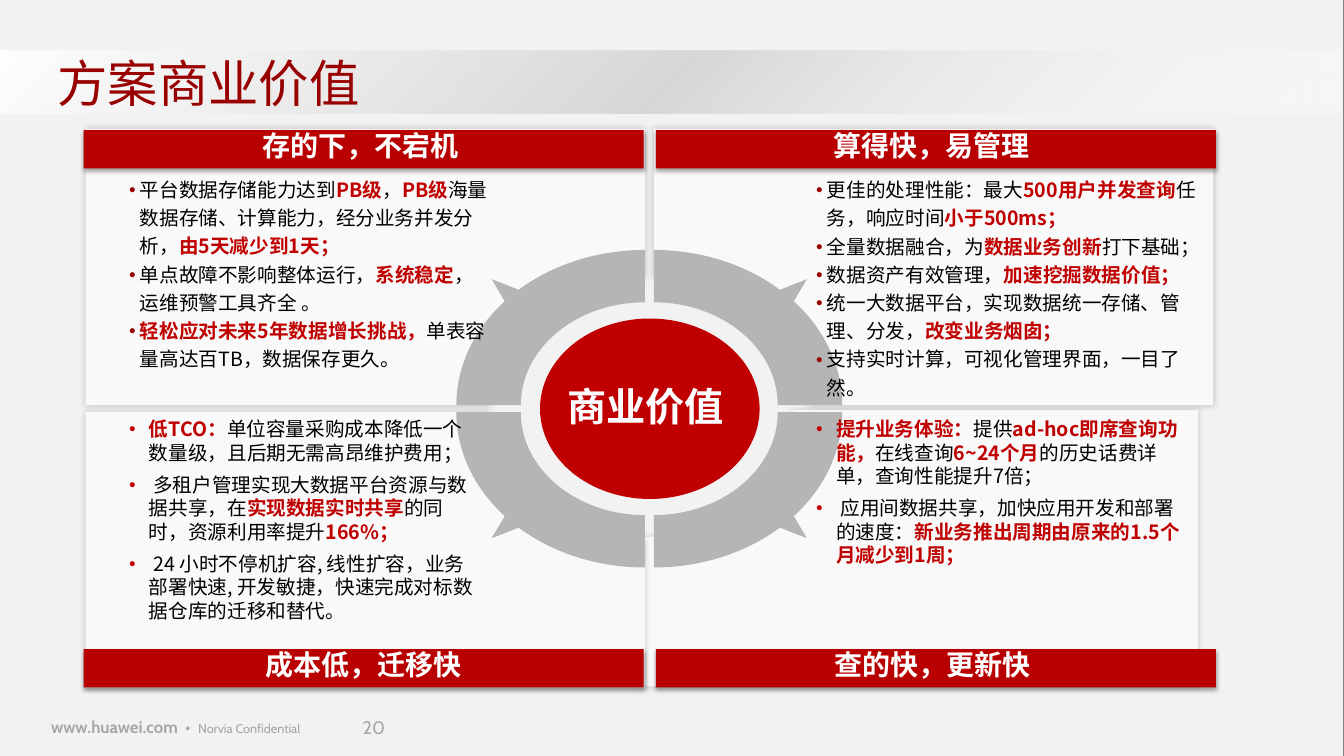
from dataclasses import dataclass
from math import cos, radians, sin, tan

from lxml.etree import SubElement
from pptx import Presentation
from pptx.dml.color import RGBColor
from pptx.enum.shapes import MSO_SHAPE
from pptx.enum.text import MSO_ANCHOR, MSO_AUTO_SIZE, PP_ALIGN
from pptx.oxml import parse_xml
from pptx.oxml.ns import nsdecls, qn
from pptx.util import Inches, Pt

Point = tuple[float, float]
Box = tuple[float, float, float, float]
Segment = tuple[Point, ...]


@dataclass(frozen=True)
class Theme:
    font: str = "Noto Sans CJK SC"
    footer_font: str = "Cabin"
    bullet_font: str = "Arial"
    backdrop: str = "808080"
    page: str = "F2F2F2"
    panel: str = "F9F9F9"
    ring: str = "B5B5B6"
    bar: str = "B90000"
    accent: str = "C00000"
    title: str = "990000"
    text: str = "000000"
    white: str = "FFFFFF"
    muted: str = "A6A6A6"
    title_size: float = 36
    hub_size: float = 28
    heading_size: float = 20
    body_size: float = 14
    number_size: float = 13
    site_size: float = 12
    notice_size: float = 9


@dataclass(frozen=True)
class BulletStyle:
    indent: float
    line: float
    after: float
    color: str | None


@dataclass(frozen=True)
class Quadrant:
    sx: int
    sy: int
    panel_origin: Point
    heading: str
    heading_box: Box
    body_box: Box
    style: BulletStyle
    bullets: tuple[str, ...]


T = Theme()
TOP = BulletStyle(0.11, 1.2, 0, T.title)
BOTTOM = BulletStyle(0.2, 1.0, 6, None)
LEFT_X, RIGHT_X, BAR_W, BAR_H = 0.83, 6.51, 5.56, 0.38
PANEL_W, PANEL_H = 5.55, 2.74

QUADRANTS = (
    Quadrant(1, 1, (6.34, 4.07), "查的快，更新快 ", (RIGHT_X, 6.37, BAR_W, 0.44), (8, 4.09, 3.9, 2.17), BOTTOM, (
        "*提升业务体验：*提供*ad-hoc即席查询功能，*在线查询*6~24个月*的历史话费详单，查询性能提升7倍；",
        "* *应用间数据共享，加快应用开发和部署的速度：*新业务推出周期由原来的1.5个月减少到1周；*")),
    Quadrant(1, -1, (6.49, 4.02), "算得快，易管理 ", (RIGHT_X, 1.23, 5.53, 0.44), (8, 1.67, 4.05, 2.61), TOP, (
        "更佳的处理性能：最大*500用户并发查询*任务，响应时间*小于500ms；*",
        "全量数据融合，为*数据业务创新*打下基础；",
        "数据资产有效管理，*加速挖掘数据价值；*",
        "统一大数据平台，实现数据统一存储、管理、分发，*改变业务烟囱；*",
        "支持实时计算，可视化管理界面，一目了然。")),
    Quadrant(-1, 1, (6.4, 4.09), "成本低，迁移快", (LEFT_X, 6.37, BAR_W, 0.44), (1.18, 4.09, 3.66, 2.76), BOTTOM, (
        "*低TCO：*单位容量采购成本降低一个数量级，且后期无需高昂维护费用；",
        "* *多租户管理实现大数据平台资源与数据共享，在*实现数据实时共享*的同时，资源利用率提升*166%；*",
        "* *24 小时不停机扩容, 线性扩容，业务部署快速, 开发敏捷，快速完成对标数据仓库的迁移和替代。")),
    Quadrant(-1, -1, (6.4, 4.02), "存的下，不宕机 ", (LEFT_X, 1.23, BAR_W, 0.44), (1.18, 1.67, 3.77, 2.3), TOP, (
        "平台数据存储能力达到*PB级*，*PB级*海量数据存储、计算能力，经分业务并发分析，*由5天减少到1天；*",
        "单点故障不影响整体运行，*系统稳定*，运维预警工具齐全 。",
        "*轻松应对未来5年数据增长挑战，*单表容量高达百TB，数据保存更久。")),
)


def paint(sp, color: str) -> None:
    sp.shadow.inherit = False
    sp.fill.solid()
    sp.fill.fore_color.rgb = RGBColor.from_string(color)
    sp.line.fill.background()


def add_shadow(sp, alpha: int, blur: float, dist: float, angle: int) -> None:
    sp._element.spPr.find(qn("a:effectLst")).append(parse_xml(
        f'<a:outerShdw {nsdecls("a")} blurRad="{Pt(blur)}" dist="{Pt(dist)}" dir="{angle * 60000}" '
        f'algn="ctr" rotWithShape="0"><a:srgbClr val="000000"><a:alpha val="{alpha * 1000}"/>'
        '</a:srgbClr></a:outerShdw>'))


def add_run(p, text: str, size: float, color: str, bold: bool = False, font: str = T.font) -> None:
    r = p.add_run()
    r.text = text
    r.font.size = Pt(size)
    r.font.bold = bold
    r.font.color.rgb = RGBColor.from_string(color)
    r.font.name = font
    SubElement(r.font._element, qn("a:ea")).set("typeface", font)


def add_text(s, box: Box, wrap: bool = True):
    tf = s.shapes.add_textbox(*map(Inches, box)).text_frame
    tf.word_wrap = wrap
    tf.auto_size = MSO_AUTO_SIZE.SHAPE_TO_FIT_TEXT
    return tf


def add_heading(s, box: Box, text: str, size: float) -> None:
    p = add_text(s, box).paragraphs[0]
    p.alignment = PP_ALIGN.CENTER
    add_run(p, text, size, T.white, True)


def add_bullets(s, q: Quadrant) -> None:
    tf = add_text(s, q.body_box)
    for i, bullet in enumerate(q.bullets):
        p = tf.add_paragraph() if i else tf.paragraphs[0]
        pPr = p._p.get_or_add_pPr()
        pPr.set("marL", str(Inches(q.style.indent)))
        pPr.set("indent", str(-Inches(q.style.indent)))
        pPr.set("hangingPunct", "0")
        p.line_spacing = q.style.line
        p.space_after = Pt(q.style.after)
        if q.style.color:
            SubElement(SubElement(pPr, qn("a:buClr")), qn("a:srgbClr")).set("val", q.style.color)
        SubElement(pPr, qn("a:buSzPct")).set("val", "60000")
        SubElement(pPr, qn("a:buFont")).set("typeface", T.bullet_font)
        SubElement(pPr, qn("a:buChar")).set("char", "●")
        for j, part in enumerate(bullet.split("*")):
            if part:
                strong = j % 2 == 1
                add_run(p, part, T.body_size, T.accent if strong else T.text, strong and part != " ")


def arc(rx: float, ry: float, start: float, end: float) -> Segment:
    a, b = radians(start), radians(end)
    k = 4 / 3 * tan((b - a) / 4)
    return ((rx * (cos(a) - k * sin(a)), ry * (sin(a) + k * cos(a))),
            (rx * (cos(b) + k * sin(b)), ry * (sin(b) - k * cos(b))),
            (rx * cos(b), ry * sin(b)))


def add_outline(s, origin: Point, q: Quadrant, start: Point, segments: list[Segment], color: str):
    def place(point: Point) -> tuple[int, int]:
        return Inches(origin[0] + q.sx * point[0]), Inches(origin[1] + q.sy * point[1])

    builder = s.shapes.build_freeform(*place(start))
    builder.add_line_segments([place(point) for seg in segments for point in seg], close=True)
    sp = builder.convert_to_shape()
    lines = iter(list(sp._element.spPr.iter(qn("a:lnTo"))))
    for seg in segments:
        steps = [next(lines) for _ in seg]
        if len(steps) == 3:
            curve = parse_xml(f'<a:cubicBezTo {nsdecls("a")}/>')
            steps[0].addprevious(curve)
            for step in steps:
                curve.append(step[0])
                step.getparent().remove(step)
    paint(sp, color)
    return sp


def add_title_band(s) -> None:
    band = s.shapes.add_shape(MSO_SHAPE.RECTANGLE, 0, Inches(0.5), Inches(13.31), Inches(0.63))
    paint(band, T.white)
    band._element.spPr.replace(band._element.spPr.find(qn("a:solidFill")), parse_xml(
        f'<a:gradFill {nsdecls("a")} rotWithShape="1"><a:gsLst>'
        '<a:gs pos="4000"><a:srgbClr val="FFFFFF"><a:alpha val="31000"/></a:srgbClr></a:gs>'
        '<a:gs pos="50000"><a:srgbClr val="D7D7D7"/></a:gs>'
        '<a:gs pos="100000"><a:srgbClr val="FFFFFF"/></a:gs></a:gsLst>'
        '<a:path path="circle"><a:fillToRect l="100000" t="100000"/></a:path></a:gradFill>'))
    title = s.shapes.title
    band._element.addnext(title._element)
    title.left, title.top, title.width, title.height = map(Inches, (0.44, 0.41, 8.35, 0.82))
    tf = title.text_frame
    tf.auto_size = MSO_AUTO_SIZE.NONE
    tf.vertical_anchor = MSO_ANCHOR.MIDDLE
    tf.margin_left = tf.margin_right = Inches(0.13)
    tf.margin_top = tf.margin_bottom = Inches(0.07)
    tf.paragraphs[0].alignment = PP_ALIGN.LEFT
    add_run(tf.paragraphs[0], "方案商业价值", T.title_size, T.title)


def add_footer(s) -> None:
    tf = add_text(s, (3.6, 7.13, 0.4, 0.21))
    tf.auto_size = MSO_AUTO_SIZE.NONE
    tf.vertical_anchor = MSO_ANCHOR.MIDDLE
    tf.margin_left = tf.margin_right = tf.margin_top = tf.margin_bottom = 0
    tf.paragraphs[0].line_spacing = 0.85
    add_run(tf.paragraphs[0], "20", T.number_size, T.muted, font=T.footer_font)
    tf = add_text(s, (0.41, 7.06, 3.13, 0.3), wrap=False)
    tf.vertical_anchor = MSO_ANCHOR.MIDDLE
    add_run(tf.paragraphs[0], "www.huawei.com  •  ", T.site_size, T.muted, True, T.footer_font)
    add_run(tf.paragraphs[0], "Norvia Confidential", T.notice_size, T.muted, font=T.footer_font)


def main() -> None:
    prs = Presentation()
    prs.slide_width, prs.slide_height = Inches(13.34), Inches(7.5)
    s = prs.slides.add_slide(prs.slide_layouts[5])
    s.background.fill.solid()
    s.background.fill.fore_color.rgb = RGBColor.from_string(T.backdrop)
    paint(s.shapes.add_shape(MSO_SHAPE.RECTANGLE, 0, 0, Inches(13.33), Inches(7.5)), T.page)
    add_footer(s)
    add_title_band(s)

    panel = [arc(1.53, 1.26, 0, 90), ((0, PANEL_H),), ((PANEL_W, PANEL_H),), ((PANEL_W, 0),)]
    for q in QUADRANTS:
        add_shadow(add_outline(s, q.panel_origin, q, (1.53, 0), panel, T.panel), 20, 5, 0, 0)

    paint(s.shapes.add_shape(MSO_SHAPE.OVAL, *map(Inches, (5.36, 3.16, 2.18, 1.79))), T.accent)
    spike_end = (1.87 * cos(radians(48)), 1.54 * sin(radians(48)))
    ring = [arc(1.87, 1.54, 0, 42), ((1.52, 1.25),), (spike_end,), arc(1.87, 1.54, 48, 90),
            ((0, 1.02),), arc(1.23, 1.02, 90, 0)]
    for q in QUADRANTS:
        origin = (6.49 if q.sx > 0 else 6.4, 4.09 if q.sy > 0 else 4.02)
        add_outline(s, origin, q, (1.87, 0), ring, T.ring)

    for q in QUADRANTS:
        x, y = q.heading_box[0], 6.44 if q.sy > 0 else 1.29
        bar = s.shapes.add_shape(MSO_SHAPE.ROUND_2_SAME_RECTANGLE, *map(Inches, (x, y, BAR_W, BAR_H)))
        bar.adjustments[0] = bar.adjustments[1] = 0
        paint(bar, T.bar)
        add_shadow(bar, 35, 3.1, 1.8, 90)
        add_bullets(s, q)
        add_heading(s, q.heading_box, q.heading, T.heading_size)
    add_heading(s, (5.33, 3.74, 2.24, 0.57), "商业价值 ", T.hub_size)
    prs.save("out.pptx")


if __name__ == "__main__":
    main()
